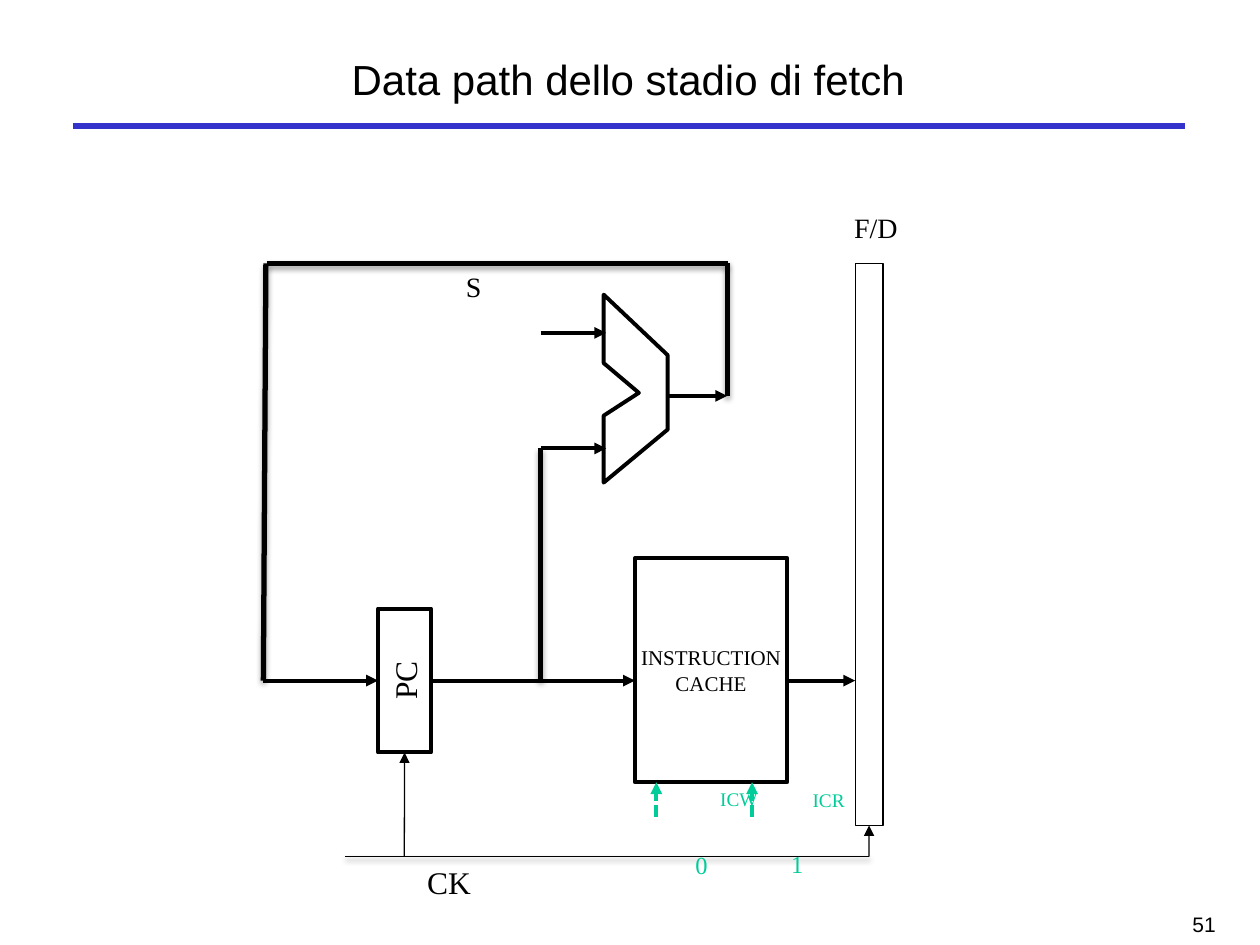
from lxml.etree import SubElement as Sub
from pptx import Presentation
from pptx.dml.color import RGBColor
from pptx.enum.dml import MSO_LINE as Dash
from pptx.enum.shapes import MSO_CONNECTOR as Link, MSO_SHAPE as Kind
from pptx.enum.text import MSO_ANCHOR as Anchor, PP_ALIGN as Align
from pptx.oxml.ns import qn
from pptx.util import Cm, Pt

BLACK, WHITE, BLUE, TEAL = "000000", "FFFFFF", "3333CC", "00CC99"
SANS, SERIF = "Arial", "Times New Roman"

# Content, lengths in cm
TITLE = "Data path dello stadio di fetch"
BUS, CLOCK, TOP = 13.72, 17.27, 5.31  # heights of the main wires

# name: left, top, width, height, line weight, lines of text, size
BLOCKS = {
    "PC": (7.62, 12.27, 1.07, 2.9, 2.25, ["PC"], 18),
    "cache": (12.8, 11.25, 3.07, 4.52, 2.25, ["INSTRUCTION", "CACHE"], 12),
    "F/D": (17.24, TOP, 0.56, 11.33, 0.75, [], 12),
}
ALU = [(12.17, 5.94), (13.46, 7.16), (13.46, 8.66), (12.17, 9.73),
       (12.17, 8.38), (12.88, 7.92), (12.17, 7.32)]

# start, end (a point, or a block and its side)
ARROWS = [
    ((10.9, 6.71), (12.22, 6.71)),
    ((10.9, 9.04), (12.22, 9.04)),
    ((13.46, 7.98), (14.66, 7.98)),
    ((5.31, BUS), ("PC", 1)),
    (("PC", 3), (12.8, BUS)),
    ((15.87, BUS), (17.24, BUS)),
]
TICKS = [((8.15, CLOCK), ("PC", 2)), ((17.52, CLOCK), ("F/D", 2))]
SIGNALS = [((x, 16.46), (x, 15.77)) for x in (13.23, 15.16)]
PATHS = [
    ((10.9, 9.04), (10.9, BUS)),
    ((5.36, TOP), (5.31, BUS)),
    ((5.38, TOP), (14.68, TOP)),
    ((14.66, TOP), (14.66, 7.98)),
]
# text, left, top, width, size, colour
LABELS = [
    ("F/D", 16.97, 4.11, 1.63, 16, BLACK),
    ("S", 9.14, 5.3, 0.9, 16, BLACK),
    ("CK", 8.36, CLOCK, 1.5, 18, BLACK),
    ("ICW", 14.27, 15.75, 1.5, 11, TEAL),
    ("ICR", 16.13, 15.77, 1.5, 11, TEAL),
    ("0", 13.77, 17.02, 0.9, 14, TEAL),
    ("1", 15.7, 16.99, 0.9, 14, TEAL),
]

deck = Presentation()
deck.slide_width, deck.slide_height = Cm(25.4), Cm(19.05)
slide = deck.slides.add_slide(deck.slide_layouts[5])
shapes = slide.shapes
blocks = {}


def paint(part, color):
    if hasattr(part, "solid"):
        part.solid()
        part.fore_color.rgb = RGBColor.from_string(color)
    else:
        part.color.rgb = RGBColor.from_string(color)


def write(frame, lines, size, face=SERIF, color=BLACK, align=Align.LEFT):
    frame.text = "\n".join(lines)
    for para in frame.paragraphs:
        para.alignment = align
        para.font.size, para.font.name = Pt(size), face
        paint(para.font, color)


def label(text, left, top, width, size, color, **style):
    box = shapes.add_textbox(Cm(left), Cm(top), Cm(width), Cm(0.8))
    box.text_frame.word_wrap = True
    write(box.text_frame, [text], size, color=color, **style)


def wire(start, end, weight=2.25, color=BLACK, head=True, shade=False):
    ends = [(0, 0) if p[0] in blocks else p for p in (start, end)]
    line = shapes.add_connector(
        Link.STRAIGHT, *(Cm(v) for point in ends for v in point))
    for spot, join in ((start, line.begin_connect), (end, line.end_connect)):
        if spot[0] in blocks:
            join(blocks[spot[0]], spot[1])
    line.line.width = Pt(weight)
    paint(line.line, color)
    if head:
        Sub(line.line._get_or_add_ln(), qn("a:tailEnd"), type="triangle")
    effects = Sub(line._element.spPr, qn("a:effectLst"))
    if shade:
        shadow = Sub(effects, qn("a:outerShdw"), blurRad=str(Pt(3.1)),
                     dist=str(Pt(1.8)), dir="5400000", rotWithShape="0")
        tone = Sub(shadow, qn("a:srgbClr"), val=BLACK)
        Sub(tone, qn("a:alpha"), val="35000")
    return line


# Title, rule and page number
wire((1.47, 2.54), (23.88, 2.54), 3.75, BLUE, head=False)
title = shapes.title
title.left, title.top, title.width, title.height = map(
    Cm, (1.55, 0.64, 22.23, 1.9))
title.text_frame.vertical_anchor = Anchor.MIDDLE
write(title.text_frame, [TITLE], 24, SANS, align=Align.CENTER)
label("51", 19.48, 18.26, 5.28, 12, BLACK, face=SANS, align=Align.RIGHT)

# Blocks
for name, (*place, weight, lines, size) in BLOCKS.items():
    block = shapes.add_shape(Kind.RECTANGLE, *map(Cm, place))
    block.shadow.inherit = False
    paint(block.fill, WHITE)
    paint(block.line, BLACK)
    block.line.width = Pt(weight)
    frame = block.text_frame
    frame.word_wrap = False
    frame.vertical_anchor = Anchor.MIDDLE
    if lines:
        write(frame, lines, size, align=Align.CENTER)
    blocks[name] = block
blocks["PC"].text_frame._txBody.bodyPr.set("vert", "vert270")

# Adder
pen = shapes.build_freeform(*map(Cm, ALU[0]))
pen.add_line_segments([(Cm(x), Cm(y)) for x, y in ALU[1:]], close=True)
adder = pen.convert_to_shape()
adder.shadow.inherit = False
adder.fill.background()
adder.line.width = Pt(2.25)
paint(adder.line, BLACK)

# Wires
for ends in PATHS:
    wire(*ends, weight=3, head=False, shade=True)
for ends in ARROWS:
    wire(*ends)
wire((6.96, CLOCK), (17.52, CLOCK), 0.75, head=False, shade=True)
for ends in TICKS:
    wire(*ends, weight=0.75)
for ends in SIGNALS:
    wire(*ends, color=TEAL).line.dash_style = Dash.SQUARE_DOT

# Labels
for item in LABELS:
    label(*item)

deck.save("out.pptx")
